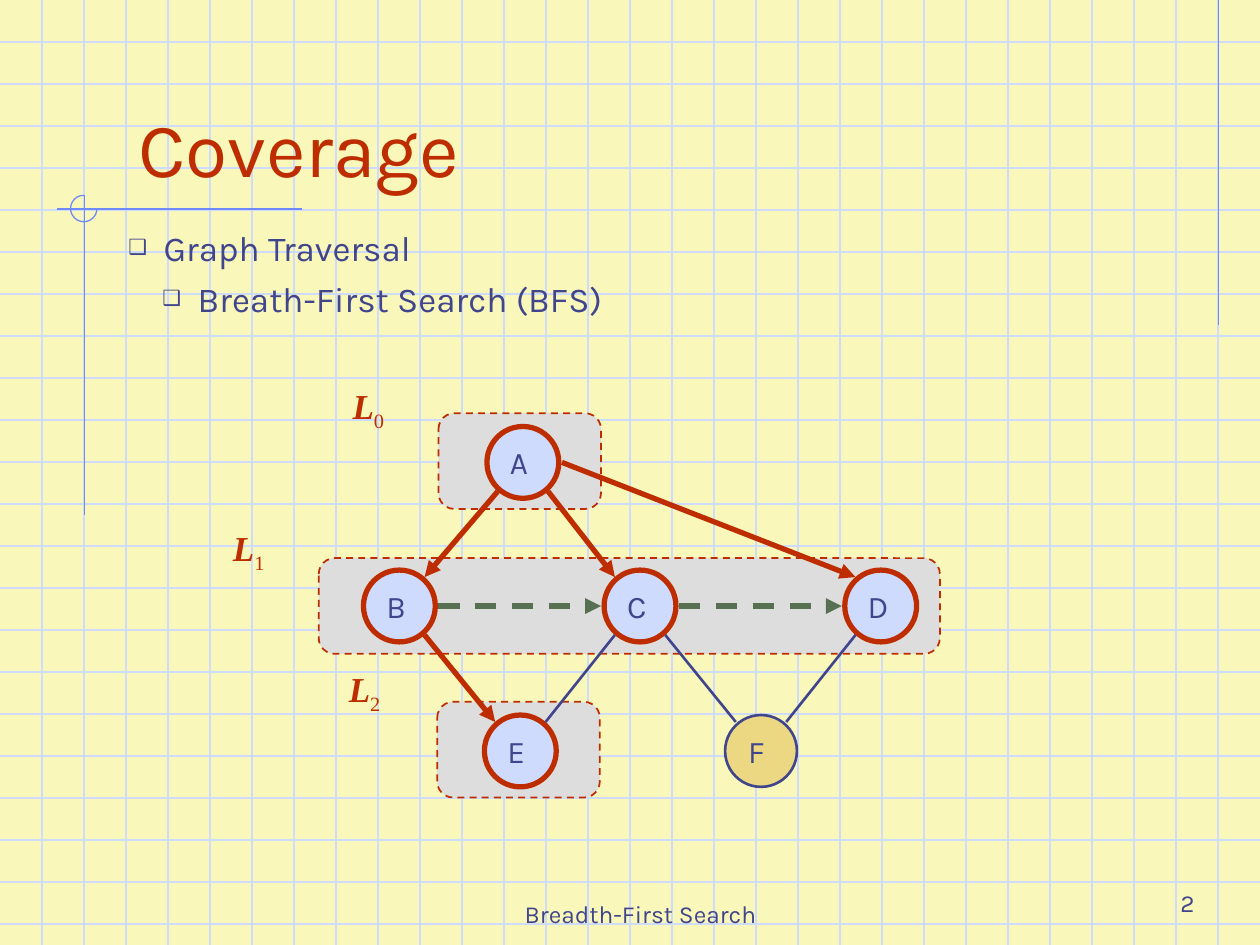
from lxml import etree
from pptx import Presentation
from pptx.dml.color import RGBColor
from pptx.enum.dml import MSO_LINE
from pptx.enum.shapes import MSO_CONNECTOR, MSO_SHAPE
from pptx.enum.text import MSO_ANCHOR, PP_ALIGN
from pptx.oxml.ns import qn
from pptx.util import Inches, Pt

STRAIGHT = MSO_CONNECTOR.STRAIGHT
DASH = MSO_LINE.DASH
ARC, ELLIPSE, ROUNDED = MSO_SHAPE.ARC, MSO_SHAPE.OVAL, MSO_SHAPE.ROUNDED_RECTANGLE
TOP, MIDDLE, BOTTOM = MSO_ANCHOR.TOP, MSO_ANCHOR.MIDDLE, MSO_ANCHOR.BOTTOM
LEFT, CENTER, RIGHT = PP_ALIGN.LEFT, PP_ALIGN.CENTER, PP_ALIGN.RIGHT

PAPER, GRID, RULE = "F9F8BA", "CFDBFD", "6F89F7"
RED, NAVY, GREEN, GREY, GOLD = "BE2D00", "40458C", "577052", "DDDDDD", "ECD882"
WIDTH, HEIGHT, GRID_STEPS_PER_INCH = 10, 7.5, 3

TITLE = "Coverage"
TOPICS = [("Graph Traversal", 0), ("Breath-First Search (BFS)", 1)]
FOOTER, PAGE_NUMBER = "Breadth-First Search", "2"

RULES = [((9.67, 0), (9.67, 2.58)), ((2.4, 1.66), (0.45, 1.66)), ((0.67, 1.55), (0.67, 4.09))]
LEVEL_HEIGHT = 0.76
LEVELS = [
    ("0", (2.7, 3), (3.48, 3.28), 1.29),
    ("1", (1.75, 4.13), (2.53, 4.43), 4.93),
    ("2", (2.67, 5.25), (3.47, 5.57), 1.29),
]
DIAMETER = 0.57
NODES = {
    "A": (4.15, 3.67), "B": (3.17, 4.81), "C": (5.08, 4.81),
    "D": (6.99, 4.81), "E": (4.13, 5.96), "F": (6.04, 5.96),
}
UNVISITED = {"F"}
PORTS = {
    "left": (-0.31, 0), "right": (0.31, 0),
    "top left": (-0.2, -0.23), "top right": (0.2, -0.23),
    "bottom left": (-0.2, 0.23), "bottom right": (0.2, 0.23),
}
DISCOVERY = dict(color=RED, weight=3, arrow=True)
CROSS = dict(color=GREEN, weight=3, arrow=True, dash=DASH)
UNEXPLORED = dict(color=NAVY, weight=1.5)
EDGES = [
    ("A", "bottom left", "B", "top right", DISCOVERY),
    ("A", "bottom right", "C", "top left", DISCOVERY),
    ("A", "right", "D", "top left", DISCOVERY),
    ("B", "bottom right", "E", "top left", DISCOVERY),
    ("B", "right", "C", "left", CROSS),
    ("C", "right", "D", "left", CROSS),
    ("C", "bottom left", "E", "top right", UNEXPLORED),
    ("C", "bottom right", "F", "top left", UNEXPLORED),
    ("D", "bottom left", "F", "top right", UNEXPLORED),
]


def rgb(value):
    return RGBColor.from_string(value)


def add_line(page, start, end, color=RULE, weight=0.75, arrow=False, dash=None):
    line = page.shapes.add_connector(STRAIGHT, *(Inches(v) for v in (*start, *end)))
    line.line.color.rgb = rgb(color)
    line.line.width = Pt(weight)
    if dash is not None:
        line.line.dash_style = dash
    properties = line._element.spPr
    if arrow:
        etree.SubElement(properties.find(qn("a:ln")), qn("a:tailEnd"), type="triangle")
    etree.SubElement(properties, qn("a:effectLst"))


def add_shape(page, kind, left, top, width, height, fill, color, weight, dash=None):
    shape = page.shapes.add_shape(kind, *(Inches(v) for v in (left, top, width, height)))
    shape.shadow.inherit = False
    if fill:
        shape.fill.solid()
        shape.fill.fore_color.rgb = rgb(fill)
    else:
        shape.fill.background()
    shape.line.color.rgb = rgb(color)
    shape.line.width = Pt(weight)
    if dash is not None:
        shape.line.dash_style = dash
    return shape


def add_text(para, text, size=14, font="Karla", color=NAVY, bold=False, italic=False, baseline=None):
    span = para.add_run()
    span.text = text
    span.font.size = Pt(size)
    span.font.name = font
    span.font.color.rgb = rgb(color)
    span.font.bold = bold
    span.font.italic = italic
    if baseline is not None:
        span.font._element.set("baseline", str(baseline * 1000))


def add_box(page, left, top, width, height, anchor=TOP):
    box = page.shapes.add_textbox(*(Inches(v) for v in (left, top, width, height)))
    box.text_frame.word_wrap = True
    box.text_frame.vertical_anchor = anchor
    return box.text_frame


def add_label(page, text, *place, align=LEFT, **style):
    para = add_box(page, *place, anchor=BOTTOM).paragraphs[0]
    para.alignment = align
    add_text(para, text, **style)


def set_bullet(para, level):
    properties = para._p.get_or_add_pPr()
    properties.set("marL", str(Inches(0.28 + 0.27 * level)))
    properties.set("indent", str(Inches(-0.28)))
    color = etree.SubElement(properties, qn("a:buClr"))
    etree.SubElement(color, qn("a:srgbClr"), val=NAVY)
    etree.SubElement(properties, qn("a:buSzPct"), val="60000")
    etree.SubElement(properties, qn("a:buFont"), typeface="Karla")
    etree.SubElement(properties, qn("a:buChar"), char="❑")


def add_background(page):
    page.background.fill.solid()
    page.background.fill.fore_color.rgb = rgb(PAPER)
    for step in range(1, int(HEIGHT * GRID_STEPS_PER_INCH) + 1):
        y = step / GRID_STEPS_PER_INCH
        add_line(page, (0, y), (WIDTH, y), color=GRID)
    for step in range(1, WIDTH * GRID_STEPS_PER_INCH):
        x = step / GRID_STEPS_PER_INCH
        add_line(page, (x, 0), (x, HEIGHT), color=GRID)
    for start, end in RULES:
        add_line(page, start, end)
    arc = add_shape(page, ARC, 0.56, 1.55, 0.21, 0.21, None, RULE, 0.75)
    arc.adjustments[0] = 0
    arc.adjustments[1] = 162


def add_topics(page):
    frame = add_box(page, 0.92, 1.75, 7.08, 0.83)
    for index, (topic, level) in enumerate(TOPICS):
        para = frame.add_paragraph() if index else frame.paragraphs[0]
        para.level = level
        if index:
            para.space_before = Pt(5)
        set_bullet(para, level)
        add_text(para, topic, size=20)


def add_graph(page):
    for number, label_place, (left, top), width in LEVELS:
        add_shape(page, ROUNDED, left, top, width, LEVEL_HEIGHT, GREY, RED, 1, DASH)
        para = add_box(page, *label_place, 0.73, 0.48).paragraphs[0]
        style = dict(size=20, font="Times New Roman", color=RED)
        add_text(para, "L", bold=True, italic=True, **style)
        add_text(para, number, baseline=-25, **style)
    for name, (x, y) in NODES.items():
        look = (GOLD, NAVY, 1.5) if name in UNVISITED else (GRID, RED, 3)
        node = add_shape(page, ELLIPSE, x - DIAMETER / 2, y - DIAMETER / 2, DIAMETER, DIAMETER, *look)
        node.text_frame.word_wrap = False
        node.text_frame.vertical_anchor = MIDDLE
        para = node.text_frame.paragraphs[0]
        para.alignment = LEFT
        add_text(para, name, size=18)
    for source, exit_port, target, entry_port, style in EDGES:
        start, end = (
            tuple(a + b for a, b in zip(NODES[name], PORTS[port]))
            for name, port in ((source, exit_port), (target, entry_port))
        )
        add_line(page, start, end, **style)


def main():
    deck = Presentation()
    deck.slide_width, deck.slide_height = Inches(WIDTH), Inches(HEIGHT)
    page = deck.slides.add_slide(deck.slide_layouts[6])
    add_background(page)
    add_label(page, TITLE, 1, 0.33, 8.5, 1.25, size=44, color=RED)
    add_topics(page)
    add_graph(page)
    add_label(page, PAGE_NUMBER, 7.5, 6.83, 2.08, 0.5, align=RIGHT)
    add_label(page, FOOTER, 3.5, 6.92, 3.17, 0.5, align=CENTER)
    deck.save("out.pptx")


if __name__ == "__main__":
    main()
